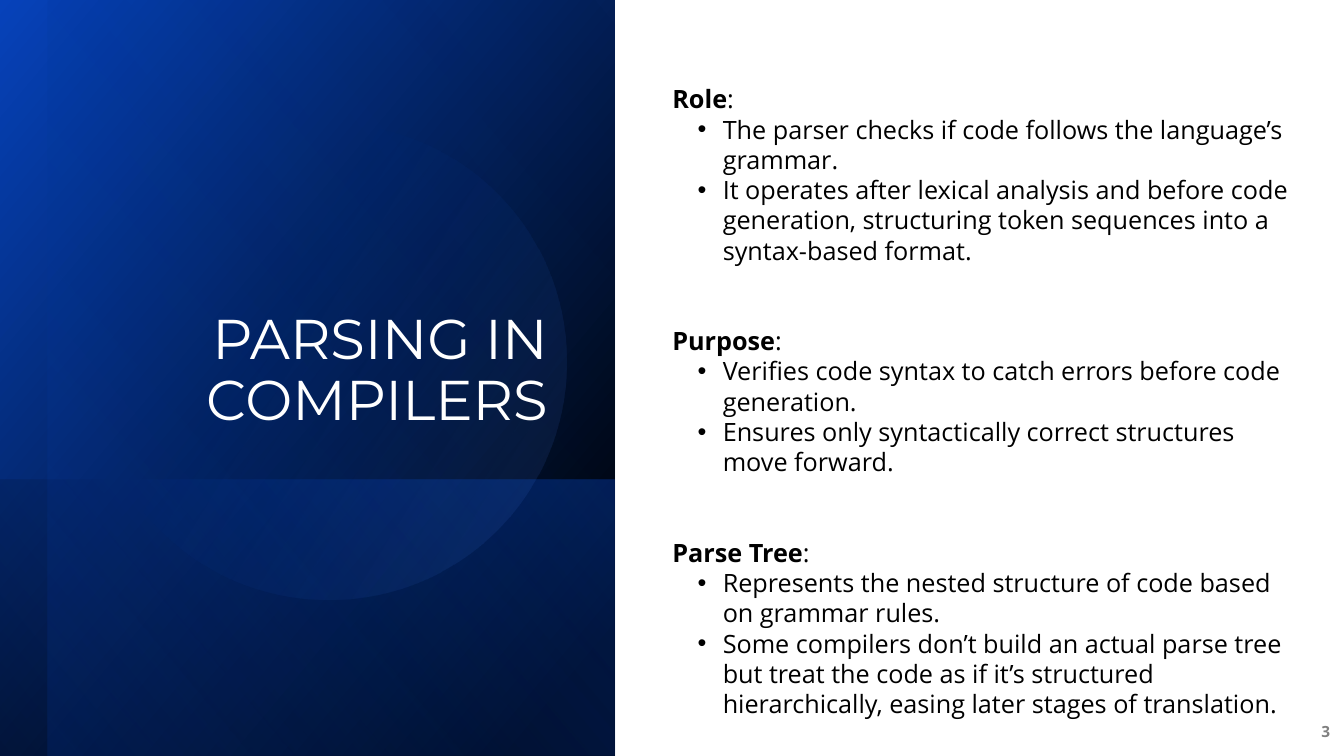
from dataclasses import dataclass

from lxml import etree
from pptx import Presentation
from pptx.dml.color import RGBColor
from pptx.enum.shapes import MSO_SHAPE
from pptx.enum.text import MSO_ANCHOR, MSO_AUTO_SIZE, PP_ALIGN
from pptx.oxml.ns import qn
from pptx.slide import Slide
from pptx.text.text import TextFrame, _Paragraph, _Run
from pptx.util import Inches, Pt


@dataclass(frozen=True)
class Theme:
    heading_font: str = "Montserrat"
    body_font: str = "Open Sans"
    title_size: int = 40
    body_size: int = 18
    number_size: int = 11
    white: str = "FFFFFF"
    black: str = "000000"
    grey: str = "808080"
    deep_blue: str = "0642BA"
    blue: str = "0958F7"
    light_blue: str = "6B9BFA"


@dataclass(frozen=True)
class Stop:
    position: int
    color: str
    opacity: int = 100


@dataclass(frozen=True)
class Panel:
    box: tuple[float, float, float, float]
    angle: int
    stops: tuple[Stop, Stop]
    kind: MSO_SHAPE = MSO_SHAPE.RECTANGLE
    rotation: float = 90
    flipped: bool = True


@dataclass(frozen=True)
class Topic:
    heading: str
    points: tuple[str, ...]


THEME = Theme()

PANELS = (
    Panel((-0.7, 0.7, 7.5, 6.1), 50,
          (Stop(8, THEME.black), Stop(100, THEME.deep_blue))),
    Panel((1.67, 3.08, 2.74, 6.1), 130,
          (Stop(2, THEME.blue, 29), Stop(100, THEME.black, 30))),
    Panel((-0.46, 0.93, 7.5, 5.63), 130,
          (Stop(0, THEME.black, 0), Stop(99, THEME.blue, 11))),
    Panel((0.9, 1.23, 4.72, 4.72), 290,
          (Stop(39, THEME.blue, 0), Stop(100, THEME.light_blue, 15)),
          MSO_SHAPE.OVAL, 101.6, False),
)

TOPICS = (
    Topic("Role", (
        "The parser checks if code follows the language’s grammar.",
        "It operates after lexical analysis and before code generation, "
        "structuring token sequences into a syntax-based format.",
    )),
    Topic("Purpose", (
        "Verifies code syntax to catch errors before code generation.",
        "Ensures only syntactically correct structures move forward.",
    )),
    Topic("Parse Tree", (
        "Represents the nested structure of code based on grammar rules.",
        "Some compilers don’t build an actual parse tree but treat the code "
        "as if it’s structured hierarchically, easing later stages of translation.",
    )),
)


def add_panel(slide: Slide, panel: Panel) -> None:
    sp = slide.shapes.add_shape(panel.kind, *map(Inches, panel.box))
    sp.shadow.inherit = False
    sp.line.fill.background()
    sp.rotation = panel.rotation
    props = sp._element.spPr
    if panel.flipped:
        props.find(qn("a:xfrm")).set("flipH", "1")
    grad = etree.Element(qn("a:gradFill"), rotWithShape="1")
    stops = etree.SubElement(grad, qn("a:gsLst"))
    for stop in panel.stops:
        gs = etree.SubElement(stops, qn("a:gs"), pos=str(stop.position * 1000))
        color = etree.SubElement(gs, qn("a:srgbClr"), val=stop.color)
        etree.SubElement(color, qn("a:alpha"), val=str(stop.opacity * 1000))
    etree.SubElement(grad, qn("a:lin"), ang=str(panel.angle * 60000), scaled="0")
    props.find(qn("a:prstGeom")).addnext(grad)


def add_text_box(slide: Slide, box: tuple[float, float, float, float],
                 anchor: MSO_ANCHOR) -> TextFrame:
    tf = slide.shapes.add_textbox(*map(Inches, box)).text_frame
    tf.word_wrap = True
    tf.vertical_anchor = anchor
    return tf


def style_run(r: _Run, font: str, size: int, color: str, bold: bool = False) -> None:
    r.font.name = font
    r.font.size = Pt(size)
    r.font.color.rgb = RGBColor.from_string(color)
    r.font.bold = bold


def make_bullet(p: _Paragraph) -> None:
    p.level = 1
    props = p._p.get_or_add_pPr()
    props.set("marL", str(Inches(0.5)))
    props.set("indent", str(-Inches(0.25)))
    etree.SubElement(props, qn("a:buFont"), typeface="Arial")
    etree.SubElement(props, qn("a:buChar"), char="•")


def add_topics(tf: TextFrame, topics: tuple[Topic, ...]) -> None:
    for i, topic in enumerate(topics):
        p = tf.add_paragraph() if i else tf.paragraphs[0]
        p.text = topic.heading
        p.line_spacing = 3.0
        p.add_run().text = ":"
        for r, bold in zip(p.runs, (True, False)):
            style_run(r, THEME.body_font, THEME.body_size, THEME.black, bold)
        for point in topic.points:
            p = tf.add_paragraph()
            p.text = point
            make_bullet(p)
            style_run(p.runs[0], THEME.body_font, THEME.body_size, THEME.black)


def main() -> None:
    prs = Presentation()
    prs.slide_width, prs.slide_height = Inches(13.33), Inches(7.5)
    slide = prs.slides.add_slide(prs.slide_layouts[6])
    for panel in PANELS:
        add_panel(slide, panel)

    tf = add_text_box(slide, (0.9, 0.64, 4.63, 3.7), MSO_ANCHOR.BOTTOM)
    tf.text = "PARSING IN COMPILERS"
    p = tf.paragraphs[0]
    p.alignment = PP_ALIGN.RIGHT
    p.line_spacing = 0.9
    style_run(p.runs[0], THEME.heading_font, THEME.title_size, THEME.white)

    tf = add_text_box(slide, (6.57, 0, 6.42, 7.36), MSO_ANCHOR.MIDDLE)
    tf.auto_size = MSO_AUTO_SIZE.TEXT_TO_FIT_SHAPE
    add_topics(tf, TOPICS)

    tf = add_text_box(slide, (12.8, 7.06, 0.49, 0.4), MSO_ANCHOR.MIDDLE)
    tf.text = "3"
    p = tf.paragraphs[0]
    p.alignment = PP_ALIGN.RIGHT
    p.space_after = Pt(6)
    style_run(p.runs[0], THEME.body_font, THEME.number_size, THEME.grey, True)

    prs.save("out.pptx")


if __name__ == "__main__":
    main()
